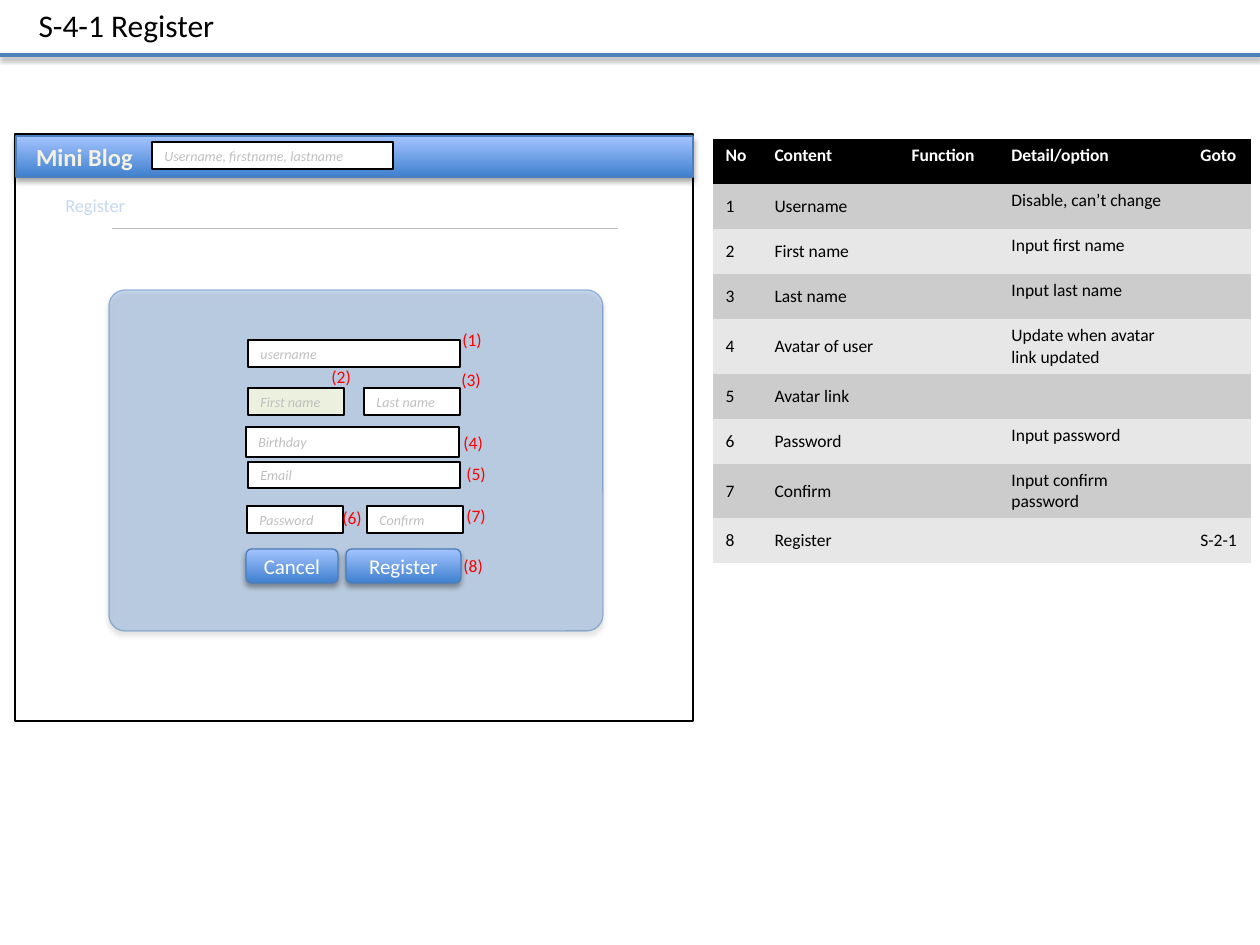
import dataclasses

import lxml.etree
import pptx
import pptx.dml.color
import pptx.enum.shapes
import pptx.enum.text
import pptx.oxml
import pptx.oxml.ns
import pptx.util

PX = 914400 / 126
SHAPE = pptx.enum.shapes.MSO_SHAPE
ANCHOR = pptx.enum.text.MSO_ANCHOR
ALIGN = pptx.enum.text.PP_ALIGN
qn = pptx.oxml.ns.qn
rgb = pptx.dml.color.RGBColor.from_string


@dataclasses.dataclass(frozen=True)
class Theme:
    font: str = "Calibri"
    black: str = "000000"
    white: str = "FFFFFF"
    rule: str = "4F81BD"
    edge: str = "4B7EBC"
    gradient: tuple = ("3F80CE", "A4C4FF")
    panel: str = "558ED5"
    grey: str = "BFBFBF"
    pale_blue: str = "C6D9F1"
    pale_green: str = "EBF1DE"
    cream: str = "F4F1E3"
    outline: str = "054697"
    red: str = "FF0000"
    bands: tuple = ("CCCCCC", "E7E7E7")
    title_size: float = 18
    brand_size: float = 14
    button_size: float = 12
    heading_size: float = 10.5
    body_size: float = 10
    field_size: float = 8


theme = Theme()


def draw(kind, box, fill=theme.white, line=theme.black):
    """Add a shape in px, or a text box when kind is None; a pair of fills is a gradient."""
    place = [round(value * PX) for value in box]
    if kind is None:
        return slide.shapes.add_textbox(*place)
    shape = slide.shapes.add_shape(kind, *place)
    if isinstance(fill, tuple):
        shape.fill.gradient()
        shape.fill.gradient_angle = 90
        for stop, color in zip(shape.fill.gradient_stops, fill):
            stop.color.rgb = rgb(color)
    else:
        shape.fill.solid()
        shape.fill.fore_color.rgb = rgb(fill)
    shape.line.color.rgb = rgb(line)
    shape.line.width = pptx.util.Pt(0.75)
    shape.shadow.inherit = False
    return shape


def write(frame, text, size, color, anchor=ANCHOR.TOP, align=ALIGN.LEFT):
    frame.vertical_anchor = anchor
    para = frame.paragraphs[0]
    para.alignment = align
    span = para.add_run()
    span.text = text
    span.font.name = theme.font
    span.font.size = pptx.util.Pt(size)
    span.font.color.rgb = rgb(color)
    return span


deck = pptx.Presentation()
deck.slide_width = pptx.util.Inches(10)
deck.slide_height = pptx.util.Inches(7.5)
slide = deck.slides.add_slide(deck.slide_layouts[5])

# Title and the two rules
title = slide.shapes.title
title.left, title.top, title.width, title.height = [round(value * PX) for value in (26, 0, 204, 50)]
title.text_frame.word_wrap = False
title.text_frame.auto_size = pptx.enum.text.MSO_AUTO_SIZE.SHAPE_TO_FIT_TEXT
write(title.text_frame, "S-4-1 Register", theme.title_size, theme.black)

frame_box = draw(SHAPE.RECTANGLE, (15, 134, 678, 587))
rules = []
for left, right, y, color, width in [
    (0, 1260, 55, theme.rule, 2),
    (112, 618, 228, theme.grey, 0.25),
]:
    ends = [round(value * PX) for value in (left, y, right, y)]
    rule = slide.shapes.add_connector(pptx.enum.shapes.MSO_CONNECTOR.STRAIGHT, *ends)
    rule.line.color.rgb = rgb(color)
    rule.line.width = pptx.util.Pt(width)
    lxml.etree.SubElement(rule._element.spPr, qn("a:effectLst"))
    rules.append(rule)

# Blog header and form panel
header = draw(SHAPE.RECTANGLE, (16, 136, 677, 41), theme.gradient, theme.edge)
panel = draw(SHAPE.ROUNDED_RECTANGLE, (109, 290, 494, 341), theme.panel, theme.edge)
panel.adjustments[0] = 0.047
fill_color, line_color = panel._element.spPr.iter(qn("a:srgbClr"))
for color, alpha in [(fill_color, 30), (line_color, 50)]:
    lxml.etree.SubElement(color, qn("a:alpha"), val=str(alpha * 1000))

brand = write(draw(None, (23, 136, 123, 43)).text_frame, "Mini Blog",
              theme.brand_size, theme.cream, align=ALIGN.CENTER)
brand.font.bold = True
brand._r.get_or_add_rPr().insert(0, pptx.oxml.parse_xml(
    f'<a:ln {pptx.oxml.ns.nsdecls("a")} w="12700"><a:solidFill>'
    f'<a:srgbClr val="{theme.outline}"/></a:solidFill></a:ln>'))
write(draw(None, (53, 188, 87, 35)).text_frame, "Register", theme.heading_size, theme.pale_blue)

# Input fields
for text, box, fill in [
    ("Username, firstname, lastname", (152, 142, 241, 27), theme.white),
    ("username", (248, 340, 212, 27), theme.white),
    ("First name", (248, 388, 96, 27), theme.pale_green),
    ("Last name", (364, 388, 96, 27), theme.white),
    ("Birthday", (246, 427, 213, 30), theme.white),
    ("Email", (248, 462, 212, 26), theme.white),
    ("Password", (247, 506, 96, 27), theme.white),
    ("Confirm", (367, 506, 96, 27), theme.white),
]:
    field = draw(SHAPE.RECTANGLE, box, fill)
    span = write(field.text_frame, text, theme.field_size, theme.grey, ANCHOR.MIDDLE)
    span.font.italic = True

# Buttons
buttons = []
for text, left, width in [("Cancel", 246, 92), ("Register", 346, 115)]:
    button = draw(SHAPE.ROUNDED_RECTANGLE, (left, 549, width, 34), theme.gradient, theme.edge)
    write(button.text_frame, text, theme.button_size, theme.white, ANCHOR.MIDDLE, ALIGN.CENTER)
    button.text_frame.word_wrap = False
    buttons.append(button)

# Numbered callouts
callouts = [(450, 323), (319, 360), (449, 363), (451, 426),
            (454, 457), (330, 501), (454, 499), (451, 549)]
for number, (left, top) in enumerate(callouts, 1):
    callout = draw(None, (left, top, 45, 34))
    write(callout.text_frame, f"({number})", theme.body_size, theme.red)

# Soft shadows below
for shape, alpha, distance in [(rules[0], 38, 1.6)] + [
    (shape, 35, 1.8) for shape in (header, panel, *buttons)
]:
    effects = shape._element.spPr.find(qn("a:effectLst"))
    shadow = lxml.etree.SubElement(
        effects, qn("a:outerShdw"), blurRad=str(pptx.util.Pt(3.1)),
        dist=str(pptx.util.Pt(distance)), dir="5400000", rotWithShape="0")
    color = lxml.etree.SubElement(shadow, qn("a:srgbClr"), val=theme.black)
    lxml.etree.SubElement(color, qn("a:alpha"), val=str(alpha * 1000))

# Field specification table
rows = [
    ("No", "Content", "Function", "Detail/option", "Goto"),
    ("1", "Username", "", "Disable, can’t change", ""),
    ("2", "First name", "", "Input first name", ""),
    ("3", "Last name", "", "Input last name", ""),
    ("4", "Avatar of user", "", "Update when avatar link updated", ""),
    ("5", "Avatar link", "", "", ""),
    ("6", "Password", "", "Input password", ""),
    ("7", "Confirm", "", "Input confirm password", ""),
    ("8", "Register", "", "", "S-2-1"),
]
widths = [49, 137, 100, 189, 63]
DETAIL = 3
place = [round(value * PX) for value in (713, 139, sum(widths), 45 * len(rows))]
table = slide.shapes.add_table(len(rows), len(widths), *place).table
table._tbl.tblPr.find(qn("a:tableStyleId")).text = "{2D5ABB26-0587-4C30-8999-92F81FD0307C}"
for column, width in zip(table.columns, widths):
    column.width = round(width * PX)
for row_index, row in enumerate(rows):
    is_header = row_index == 0
    table.rows[row_index].height = round(45 * PX)
    for column_index, text in enumerate(row):
        cell = table.cell(row_index, column_index)
        cell.fill.solid()
        cell.fill.fore_color.rgb = rgb(theme.black if is_header else theme.bands[(row_index - 1) % 2])
        if text:
            span = write(cell.text_frame, text, theme.body_size,
                         theme.white if is_header else theme.black)
            span.font.bold = is_header
            at_top = is_header or column_index == DETAIL
            cell.vertical_anchor = ANCHOR.TOP if at_top else ANCHOR.MIDDLE
        else:
            lxml.etree.SubElement(cell.text_frame.paragraphs[0]._p, qn("a:endParaRPr"),
                                  sz=str(round(theme.body_size * 100)))

deck.save("out.pptx")
